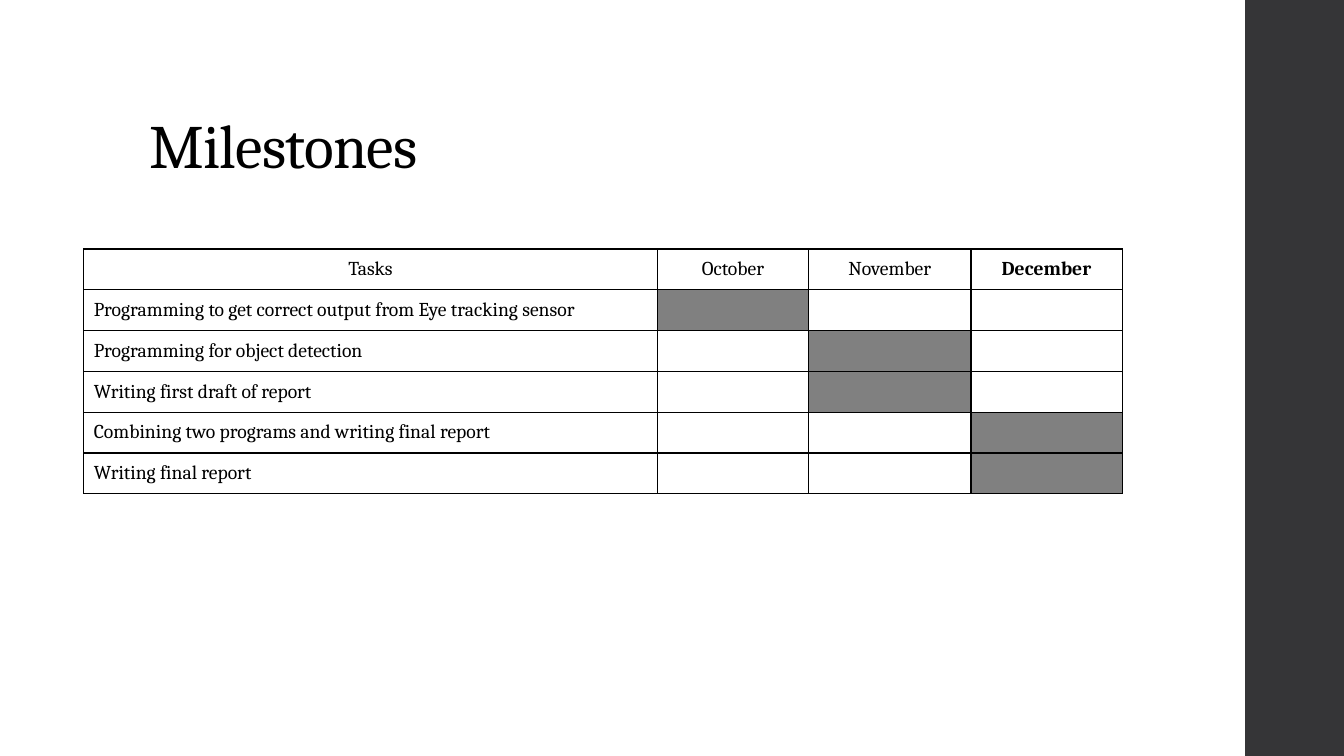
import pptx
import pptx.util
import pptx.dml.color
import pptx.enum.shapes
import pptx.enum.text
import pptx.oxml
import pptx.oxml.ns

TITLE = "Milestones"
MONTHS = ["October", "November", "December"]
TASKS = [
    ("Programming to get correct output from Eye tracking sensor", "October"),
    ("Programming for object detection", "November"),
    ("Writing first draft of report", "November"),
    ("Combining two programs and writing final report", "December"),
    ("Writing final report", "December"),
]
BOLD_MONTH = "December"
COLUMN_WIDTHS = [5.69, 1.5, 1.61, 1.5]
ROW_HEIGHT = 0.405
SLIDE_WIDTH, SLIDE_HEIGHT = 13.33, 7.5
BLACK, WHITE, BUSY, SIDEBAR = "000000", "FFFFFF", "808080", "353537"

inches = pptx.util.Inches
align = pptx.enum.text.PP_ALIGN
anchor = pptx.enum.text.MSO_ANCHOR


def color(value):
    return pptx.dml.color.RGBColor.from_string(value)


def paint(part, value):
    part.fill.solid()
    part.fill.fore_color.rgb = color(value)


def assign(target, values):
    for name, value in values.items():
        setattr(target, name, value)


def write(frame, text, size, bold=False, **paragraph_format):
    paragraph = frame.paragraphs[0]
    assign(paragraph, paragraph_format)
    run = paragraph.add_run()
    run.text = text
    assign(run.font, {"name": "Cambria", "size": pptx.util.Pt(size), "bold": bold})
    run.font.color.rgb = color(BLACK)
    return run


def outline(cell):
    properties = cell._tc.get_or_add_tcPr()
    for side in "LRTB":
        properties.append(pptx.oxml.parse_xml(
            f'<a:ln{side} {pptx.oxml.ns.nsdecls("a")} w="12700"><a:solidFill>'
            f'<a:srgbClr val="{BLACK}"/></a:solidFill></a:ln{side}>'))


def add_sidebar(slide):
    sidebar = slide.shapes.add_shape(
        pptx.enum.shapes.MSO_SHAPE.RECTANGLE,
        inches(12.35), 0, inches(SLIDE_WIDTH - 12.35), inches(SLIDE_HEIGHT))
    sidebar.shadow.inherit = False
    paint(sidebar, SIDEBAR)
    sidebar.line.fill.background()


def add_title(slide):
    title = slide.shapes.title
    assign(title, {"left": inches(1.38), "top": inches(0.4),
                   "width": inches(10.6), "height": inches(1.45)})
    assign(title.text_frame, {"vertical_anchor": anchor.BOTTOM, "word_wrap": True})
    heading = write(title.text_frame, TITLE, 44, alignment=align.LEFT, line_spacing=0.9)
    heading.font._element.set("spc", "-50")


def add_schedule(slide):
    rows = [["Tasks", *MONTHS]] + [[task, "", "", ""] for task, month in TASKS]
    schedule = slide.shapes.add_table(
        len(rows), len(COLUMN_WIDTHS), inches(0.83), inches(2.47),
        inches(sum(COLUMN_WIDTHS)), inches(ROW_HEIGHT * len(rows))).table
    assign(schedule, {"first_row": False, "horz_banding": False})
    for column, width in zip(schedule.columns, COLUMN_WIDTHS):
        column.width = inches(width)
    for r, texts in enumerate(rows):
        schedule.rows[r].height = inches(ROW_HEIGHT)
        for c, text in enumerate(texts):
            cell = schedule.cell(r, c)
            assign(cell, {"vertical_anchor": anchor.MIDDLE,
                          "margin_top": inches(0.04), "margin_bottom": inches(0.04)})
            outline(cell)
            busy = r > 0 and c > 0 and TASKS[r - 1][1] == MONTHS[c - 1]
            paint(cell, BUSY if busy else WHITE)
            if text:
                write(cell.text_frame, text, 14, text == BOLD_MONTH,
                      alignment=align.LEFT if r else align.CENTER)


def main():
    deck = pptx.Presentation()
    assign(deck, {"slide_width": inches(SLIDE_WIDTH), "slide_height": inches(SLIDE_HEIGHT)})
    slide = deck.slides.add_slide(deck.slide_layouts.get_by_name("Title Only"))
    add_sidebar(slide)
    add_title(slide)
    add_schedule(slide)
    deck.save("out.pptx")


if __name__ == "__main__":
    main()
